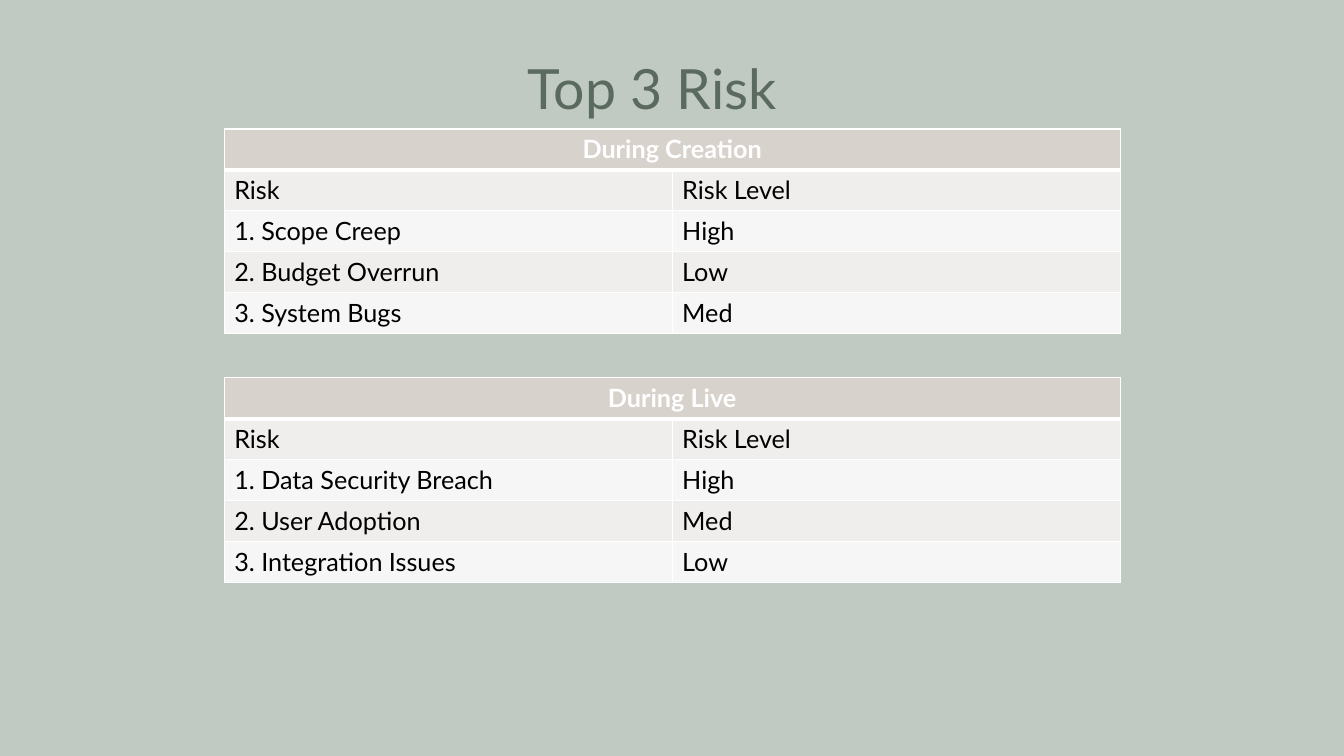
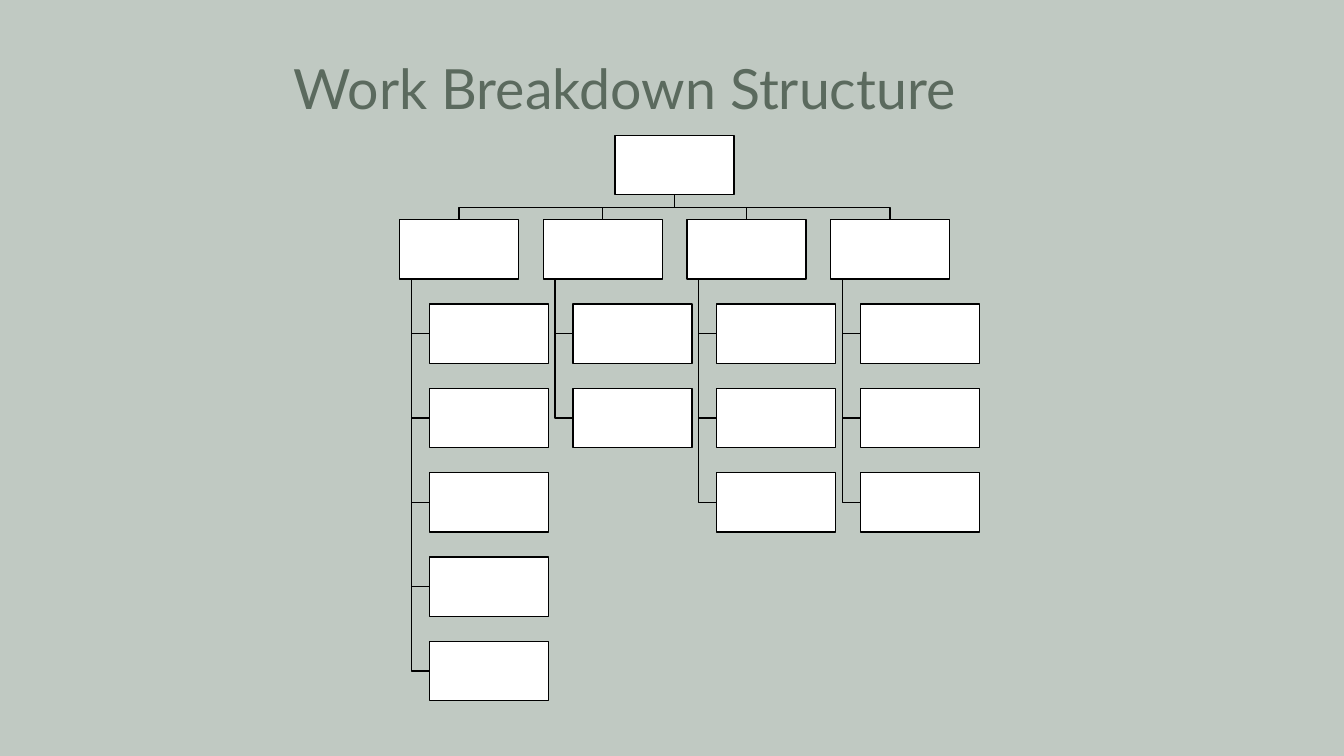
"""Build the risk tables slide and the work breakdown structure slide."""
from dataclasses import dataclass, field
from itertools import product

from pptx import Presentation
from pptx.dml.color import RGBColor as RGB
from pptx.enum.shapes import MSO_SHAPE as Shape
from pptx.enum.text import MSO_ANCHOR as Anchor, MSO_AUTO_SIZE as AutoSize, PP_ALIGN as Align
from pptx.oxml import parse_xml
from pptx.oxml.ns import nsdecls
from pptx.util import Cm, Pt


@dataclass(frozen=True)
class Theme:
    """Colours, type styles and line widths shared by the slides."""
    background: RGB = RGB(0xC0, 0xC9, 0xC2)
    header: RGB = RGB(0xD8, 0xD2, 0xCD)
    bands: tuple = (RGB(0xF6, 0xF6, 0xF6), RGB(0xF0, 0xEE, 0xED))
    white: RGB = RGB(0xFF, 0xFF, 0xFF)
    black: RGB = RGB(0, 0, 0)
    line_width: Pt = Pt(1)
    header_rule: Pt = Pt(3)
    title: dict = field(default_factory=lambda: {
        "name": "Lato", "size": Pt(39.6), "bold": False, "color": RGB(0x5B, 0x6A, 0x5E)})
    cell: dict = field(default_factory=lambda: {"name": "Lato", "size": Pt(18), "bold": False})


THEME = Theme()
TITLE_TOP, TITLE_HEIGHT = 1.4, 1.83
TABLE_LEFT, COLUMN_WIDTH, ROW_HEIGHT = 5.65, 11.29, 1.03
BOX_WIDTH, BOX_HEIGHT = 3, 1.5
TREE_LEFT, TREE_TOP = 10.07, 3.41
COLUMN_PITCH, ROW_PITCH = 3.62, 12.75 / 6
TRUNK_INDENT, CHILD_INDENT = 0.3, 0.75

RISKS = (
    (3.25, "During Creation",
     (("1. Scope Creep", "High"), ("2. Budget Overrun", "Low"), ("3. System Bugs", "Med"))),
    (9.52, "During Live",
     (("1. Data Security Breach", "High"), ("2. User Adoption", "Med"),
      ("3. Integration Issues", "Low"))),
)
CHILD_COUNTS = (5, 2, 3, 3)


def format_font(font, style):
    """Apply a dict of format values to a font."""
    for name, value in style.items():
        if name == "color":
            font.color.rgb = value
        else:
            setattr(font, name, value)


def add_titled_slide(presentation, text, left, width):
    """Add a title-only slide and place its title."""
    slide = presentation.slides.add_slide(presentation.slide_layouts[5])
    title = slide.shapes.title
    placement = {"left": left, "top": TITLE_TOP, "width": width, "height": TITLE_HEIGHT}
    for name, value in placement.items():
        setattr(title, name, Cm(value))
    frame = title.text_frame
    frame.text = text
    frame.auto_size = AutoSize.NONE
    frame.vertical_anchor = Anchor.MIDDLE
    paragraph = frame.paragraphs[0]
    paragraph.alignment = Align.LEFT
    paragraph.line_spacing = 0.9
    format_font(paragraph.font, THEME.title)
    return slide


def set_borders(cell, top, bottom):
    """Draw white borders around a cell."""
    properties = cell._tc.get_or_add_tcPr()
    widths = {"lnL": THEME.line_width, "lnR": THEME.line_width, "lnT": top, "lnB": bottom}
    for position, (side, width) in enumerate(widths.items()):
        border = parse_xml(f'<a:{side} {nsdecls("a")} w="{int(width)}"><a:solidFill>'
                           f'<a:srgbClr val="{THEME.white}"/></a:solidFill></a:{side}>')
        properties.insert(position, border)


def add_risk_table(slide, top, heading, risks):
    """Add a table with a merged heading and banded rows."""
    rows = ((heading, ""), ("Risk", "Risk Level"), *risks)
    table = slide.shapes.add_table(
        len(rows), 2, Cm(TABLE_LEFT), Cm(top),
        Cm(2 * COLUMN_WIDTH), Cm(len(rows) * ROW_HEIGHT)).table
    table.cell(0, 0).merge(table.cell(0, 1))
    for row, column in product(range(len(rows)), range(2)):
        cell = table.cell(row, column)
        is_header = row == 0
        cell.fill.solid()
        cell.fill.fore_color.rgb = THEME.header if is_header else THEME.bands[row % 2]
        set_borders(cell, THEME.header_rule if row == 1 else THEME.line_width,
                    THEME.header_rule if is_header else THEME.line_width)
        if cell.is_spanned:
            continue
        cell.text = rows[row][column]
        paragraph = cell.text_frame.paragraphs[0]
        paragraph.alignment = Align.CENTER if is_header else Align.LEFT
        color = THEME.white if is_header else THEME.black
        format_font(paragraph.font, {**THEME.cell, "bold": is_header, "color": color})


def outline(shape):
    """Give a shape the diagram's line and no shadow."""
    shape.shadow.inherit = False
    shape.line.color.rgb = THEME.black
    shape.line.width = THEME.line_width


def add_box(slide, left, top):
    """Add an empty box of the tree."""
    box = slide.shapes.add_shape(Shape.RECTANGLE, Cm(left), Cm(top),
                                 Cm(BOX_WIDTH), Cm(BOX_HEIGHT))
    box.fill.solid()
    box.fill.fore_color.rgb = THEME.white
    outline(box)


def add_elbow(slide, *points):
    """Add an open bent line through the points."""
    start, *others = [(Cm(x), Cm(y)) for x, y in points]
    builder = slide.shapes.build_freeform(*start, scale=1.0)
    builder.add_line_segments(others, close=False)
    elbow = builder.convert_to_shape()
    elbow.fill.background()
    outline(elbow)


def level_top(level):
    """Return the top of a level of the tree."""
    return TREE_TOP + level * ROW_PITCH


def add_breakdown(slide):
    """Add the bent lines of the tree and then its boxes."""
    root_left = TREE_LEFT + COLUMN_PITCH * (len(CHILD_COUNTS) - 1) / 2
    root_x, root_bottom = root_left + BOX_WIDTH / 2, TREE_TOP + BOX_HEIGHT
    branch_top = level_top(1)
    bus_y = (root_bottom + branch_top) / 2
    boxes = [(root_left, TREE_TOP)]
    for index, child_count in enumerate(CHILD_COUNTS):
        left = TREE_LEFT + index * COLUMN_PITCH
        branch_x, trunk_x = left + BOX_WIDTH / 2, left + TRUNK_INDENT
        child_left = left + CHILD_INDENT
        add_elbow(slide, (root_x, root_bottom), (root_x, bus_y),
                  (branch_x, bus_y), (branch_x, branch_top))
        boxes.append((left, branch_top))
        for level in range(2, 2 + child_count):
            top = level_top(level)
            middle_y = top + BOX_HEIGHT / 2
            add_elbow(slide, (trunk_x, branch_top + BOX_HEIGHT),
                      (trunk_x, middle_y), (child_left, middle_y))
            boxes.append((child_left, top))
    for left, top in boxes:
        add_box(slide, left, top)


def main():
    """Build and save the presentation."""
    presentation = Presentation()
    presentation.slide_width, presentation.slide_height = Cm(33.87), Cm(19.05)
    background = presentation.slide_master.background.fill
    background.solid()
    background.fore_color.rgb = THEME.background
    risk_slide = add_titled_slide(presentation, "Top 3 Risk", 13.05, 7.77)
    for top, heading, risks in RISKS:
        add_risk_table(risk_slide, top, heading, risks)
    add_breakdown(add_titled_slide(presentation, "Work Breakdown Structure", 7.14, 19.58))
    presentation.save("out.pptx")


if __name__ == "__main__":
    main()
